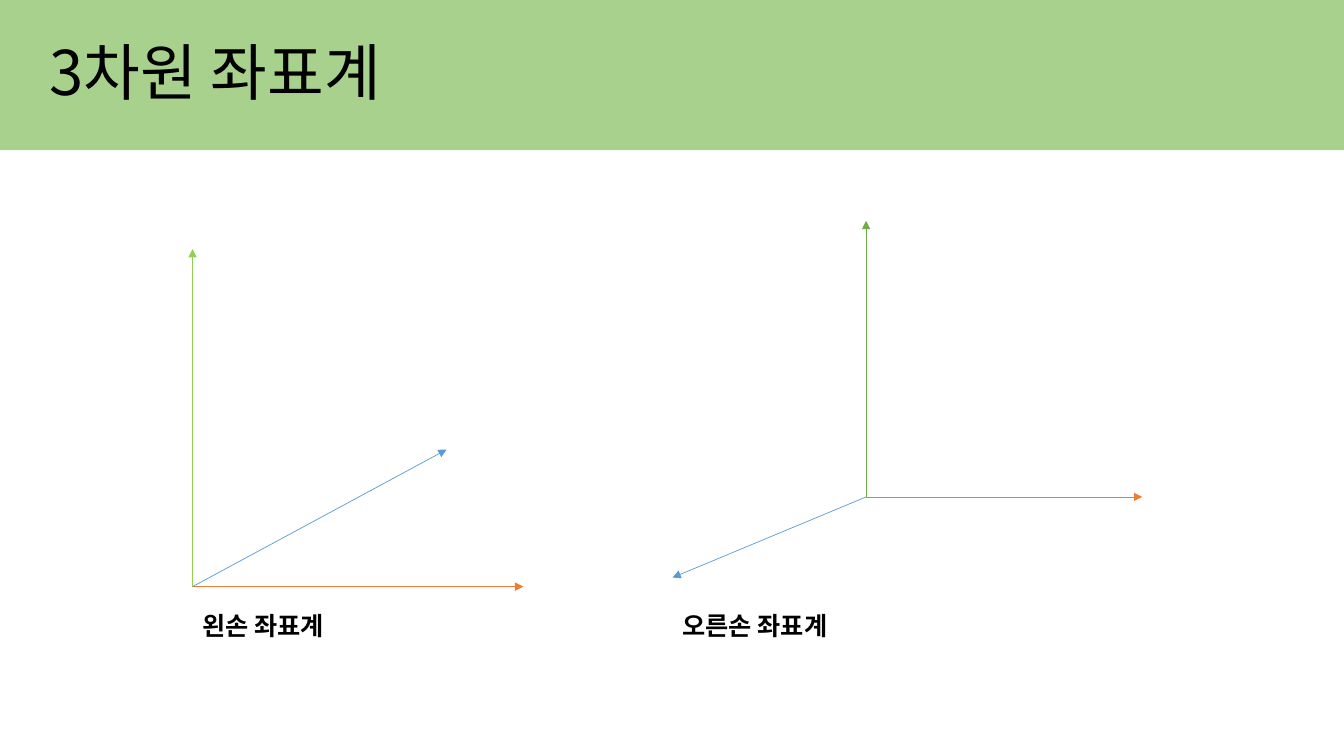
from lxml import etree
from pptx import Presentation
from pptx.dml.color import RGBColor
from pptx.enum.shapes import MSO_CONNECTOR, MSO_SHAPE
from pptx.enum.text import MSO_ANCHOR, MSO_AUTO_SIZE, PP_ALIGN
from pptx.oxml.ns import qn
from pptx.util import Inches, Pt

STRAIGHT = MSO_CONNECTOR.STRAIGHT
RECTANGLE = MSO_SHAPE.RECTANGLE
MIDDLE = MSO_ANCHOR.MIDDLE
FIT_SHAPE = MSO_AUTO_SIZE.SHAPE_TO_FIT_TEXT
NO_FIT = MSO_AUTO_SIZE.NONE
LEFT = PP_ALIGN.LEFT

FONT = "Noto Sans CJK KR"
COLORS = {
    "banner": "A9D18E",
    "text": "000000",
    "lime": "92D050",
    "green": "70AD47",
    "orange": "ED7D31",
    "blue": "5B9BD5",
}
TITLE_FONT = {"name": FONT, "size": Pt(44), "bold": False}
LABEL_FONT = {"name": FONT, "size": Pt(18), "bold": True}
LABEL_TOP = 6.01

SYSTEMS = [
    {
        "label": "왼손 좌표계",
        "label_left": 1.91,
        "origin": (1.91, 5.82),
        "axes": [("lime", (1.91, 2.47)), ("orange", (5.19, 5.82)), ("blue", (4.43, 4.46))],
    },
    {
        "label": "오른손 좌표계",
        "label_left": 6.67,
        "origin": (8.59, 4.93),
        "axes": [("green", (8.59, 2.19)), ("orange", (11.33, 4.93)), ("blue", (6.67, 5.73))],
    },
]


class SlideBuilder:
    def __init__(self, deck):
        self.slide = deck.slides.add_slide(deck.slide_layouts[5])
        self.shapes = self.slide.shapes

    def color(self, name):
        return RGBColor.from_string(COLORS[name])

    def add_span(self, paragraph, text, font_format):
        span = paragraph.add_run()
        span.text = text
        for attribute, value in font_format.items():
            setattr(span.font, attribute, value)
        span.font.color.rgb = self.color("text")
        east_asian = etree.SubElement(span.font._element, qn("a:ea"))
        east_asian.set("typeface", font_format["name"])

    def banner(self, left, top, width, height):
        box = self.shapes.add_shape(RECTANGLE, *map(Inches, (left, top, width, height)))
        box.shadow.inherit = False
        box.fill.solid()
        box.fill.fore_color.rgb = self.color("banner")
        box.line.fill.background()
        self.shapes.title.element.addprevious(box.element)

    def title(self, text, left, top, width, height):
        box = self.shapes.title
        position = {"left": left, "top": top, "width": width, "height": height}
        for attribute, value in position.items():
            setattr(box, attribute, Inches(value))
        frame = box.text_frame
        frame.auto_size = NO_FIT
        frame.vertical_anchor = MIDDLE
        paragraph = frame.paragraphs[0]
        paragraph.alignment = LEFT
        paragraph.line_spacing = 0.9
        self.add_span(paragraph, text, TITLE_FONT)

    def axes(self, origin, axes):
        group = self.shapes.add_group_shape()
        for color_name, tip in axes:
            axis = group.shapes.add_connector(STRAIGHT, *map(Inches, origin + tip))
            axis.line.width = Pt(0.5)
            axis.line.color.rgb = self.color(color_name)
            outline = axis.element.spPr.find(qn("a:ln"))
            etree.SubElement(outline, qn("a:tailEnd")).set("type", "triangle")
            etree.SubElement(axis.element.spPr, qn("a:effectLst"))

    def label(self, text, left):
        box = self.shapes.add_textbox(*map(Inches, (left, LABEL_TOP, 1.89, 0.4)))
        frame = box.text_frame
        frame.word_wrap = True
        frame.auto_size = FIT_SHAPE
        self.add_span(frame.paragraphs[0], text, LABEL_FONT)


def main():
    deck = Presentation()
    deck.slide_width = Inches(13.33)
    deck.slide_height = Inches(7.5)
    page = SlideBuilder(deck)
    page.banner(0, -0.02, 13.33, 1.51)
    page.title("3차원 좌표계", 0.39, 0.02, 11.5, 1.45)
    for system in SYSTEMS:
        page.axes(system["origin"], system["axes"])
        page.label(system["label"], system["label_left"])
    deck.save("out.pptx")


if __name__ == "__main__":
    main()
